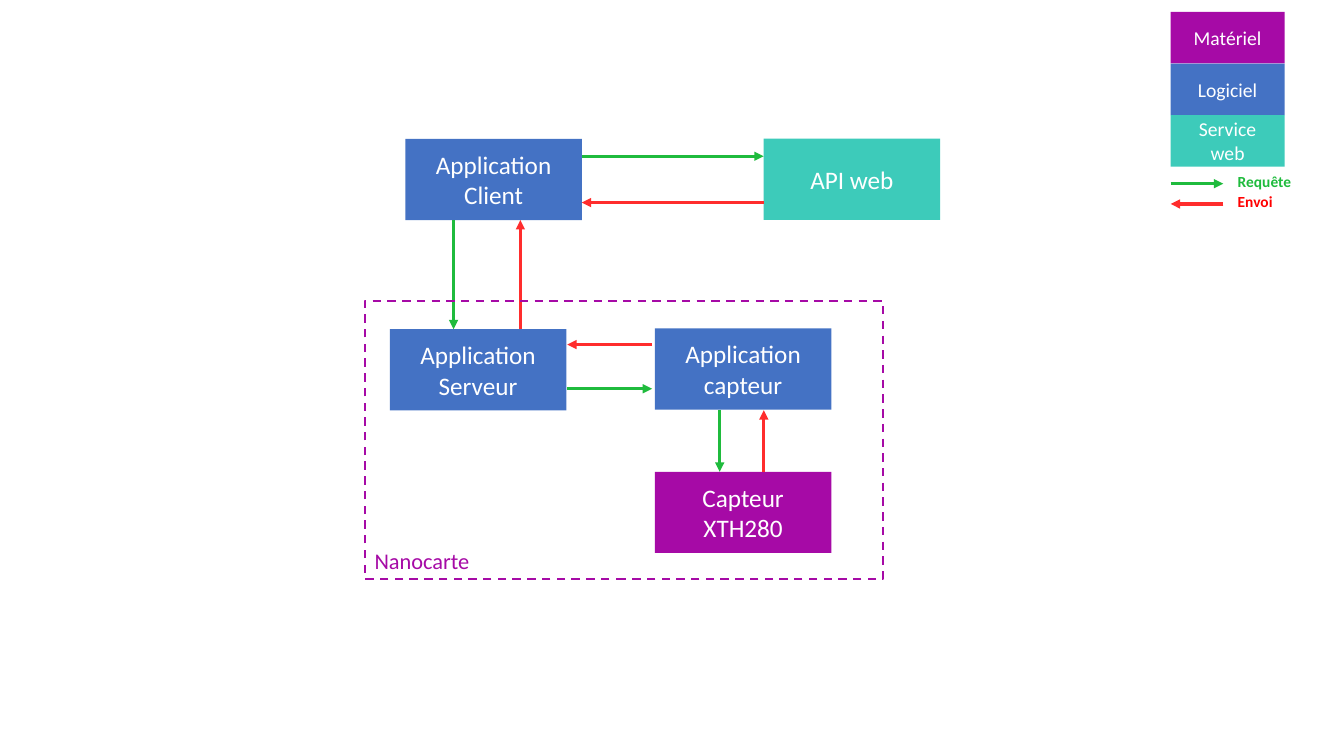
"""Architecture diagram of a weather sensor: client, server, sensor and web API."""
from lxml import etree
from pptx import Presentation, util as u
from pptx.dml.color import RGBColor
from pptx.enum import dml, shapes, text
from pptx.oxml.ns import qn

COLORS = {
    "software": "4472C4", "hardware": "A60AA6", "service": "3DCBBA",
    "request": "1FBB3D", "send": "FF2D2D", "send_label": "FF0000", "white": "FFFFFF",
}
BOX_W, BOX_H = 126, 58
KEY_LEFT, KEY_TOP, KEY_W, KEY_H = 836.2, 8.6, 81.4, 36.8


def rgb(name):
    return RGBColor.from_string(COLORS[name])


def add_text(sp, words, size, color, bold=False):
    r = sp.text_frame.paragraphs[0].add_run()
    r.text = words
    r.font.name, r.font.size, r.font.bold = "Calibri", u.Pt(size), bold
    r.font.color.rgb = rgb(color)


prs = Presentation()
prs.slide_width, prs.slide_height = u.Pt(960), u.Pt(540)
s = prs.slides.add_slide(prs.slide_layouts[6])

boxes = [
    ("Application Client", "software", 289.6, 99.2, BOX_W, BOX_H, 18),
    ("Application Serveur", "software", 278.5, 235.2, BOX_W, BOX_H, 18),
    ("Application capteur", "software", 467.8, 234.6, BOX_W, BOX_H, 18),
    ("Capteur XTH280", "hardware", 467.8, 337, BOX_W, BOX_H, 18),
    ("API web", "service", 545.5, 99.1, BOX_W, BOX_H, 18),
]
legend = [("Matériel", "hardware"), ("Logiciel", "software"), ("Service web", "service")]
for i, (words, kind) in enumerate(legend):
    boxes.append((words, kind, KEY_LEFT, KEY_TOP + i * KEY_H, KEY_W, KEY_H, 14))

for words, kind, left, top, width, height, size in boxes:
    sp = s.shapes.add_shape(shapes.MSO_SHAPE.RECTANGLE,
                            u.Pt(left), u.Pt(top), u.Pt(width), u.Pt(height))
    sp.shadow.inherit = False
    sp.fill.solid()
    sp.fill.fore_color.rgb = rgb(kind)
    sp.line.fill.background()
    tf = sp.text_frame
    tf.word_wrap = True
    tf.vertical_anchor = text.MSO_ANCHOR.MIDDLE
    tf.paragraphs[0].alignment = text.PP_ALIGN.CENTER
    add_text(sp, words, size, "white")

arrows = [
    ("request", 324, 157.2, 324, 235.2),
    ("send", 371.7, 235.2, 371.7, 157.2),
    ("request", 415.6, 111.6, 545.5, 111.6),
    ("send", 545.5, 144.7, 415.6, 144.7),
    ("send", 465.8, 246.1, 405.2, 246.1),
    ("request", 405.2, 277.7, 465.8, 277.7),
    ("request", 514.1, 292.6, 514.1, 337),
    ("send", 545.6, 337, 545.6, 293),
    ("request", KEY_LEFT, 131.2, 873.8, 131.2),
    ("send", 873.8, 145.7, KEY_LEFT, 145.7),
]
for kind, x1, y1, x2, y2 in arrows:
    arrow = s.shapes.add_connector(shapes.MSO_CONNECTOR.STRAIGHT,
                                   u.Pt(x1), u.Pt(y1), u.Pt(x2), u.Pt(y2))
    arrow.line.color.rgb = rgb(kind)
    arrow.line.width = u.Pt(2.25)
    etree.SubElement(arrow.line._get_or_add_ln(), qn("a:tailEnd"), type="triangle")
    etree.SubElement(arrow._element.spPr, qn("a:effectLst"))

frame = s.shapes.add_shape(shapes.MSO_SHAPE.RECTANGLE,
                           u.Pt(260.7), u.Pt(215), u.Pt(370), u.Pt(198.6))
frame.shadow.inherit = False
frame.fill.background()
frame.line.color.rgb = rgb("hardware")
frame.line.width = u.Pt(1.5)
frame.line.dash_style = dml.MSO_LINE.DASH

labels = [
    ("Nanocarte", "hardware", 260.5, 387.4, 100, 26.6, 16, False),
    ("Requête", "request", 877, 119.5, 60, 20.6, 11, True),
    ("Envoi", "send_label", 877, 133.9, 60, 20.6, 11, True),
]
for words, color, left, top, width, height, size, bold in labels:
    label = s.shapes.add_textbox(u.Pt(left), u.Pt(top), u.Pt(width), u.Pt(height))
    label.text_frame.word_wrap = True
    label.text_frame.auto_size = text.MSO_AUTO_SIZE.SHAPE_TO_FIT_TEXT
    add_text(label, words, size, color, bold)

prs.save("out.pptx")
